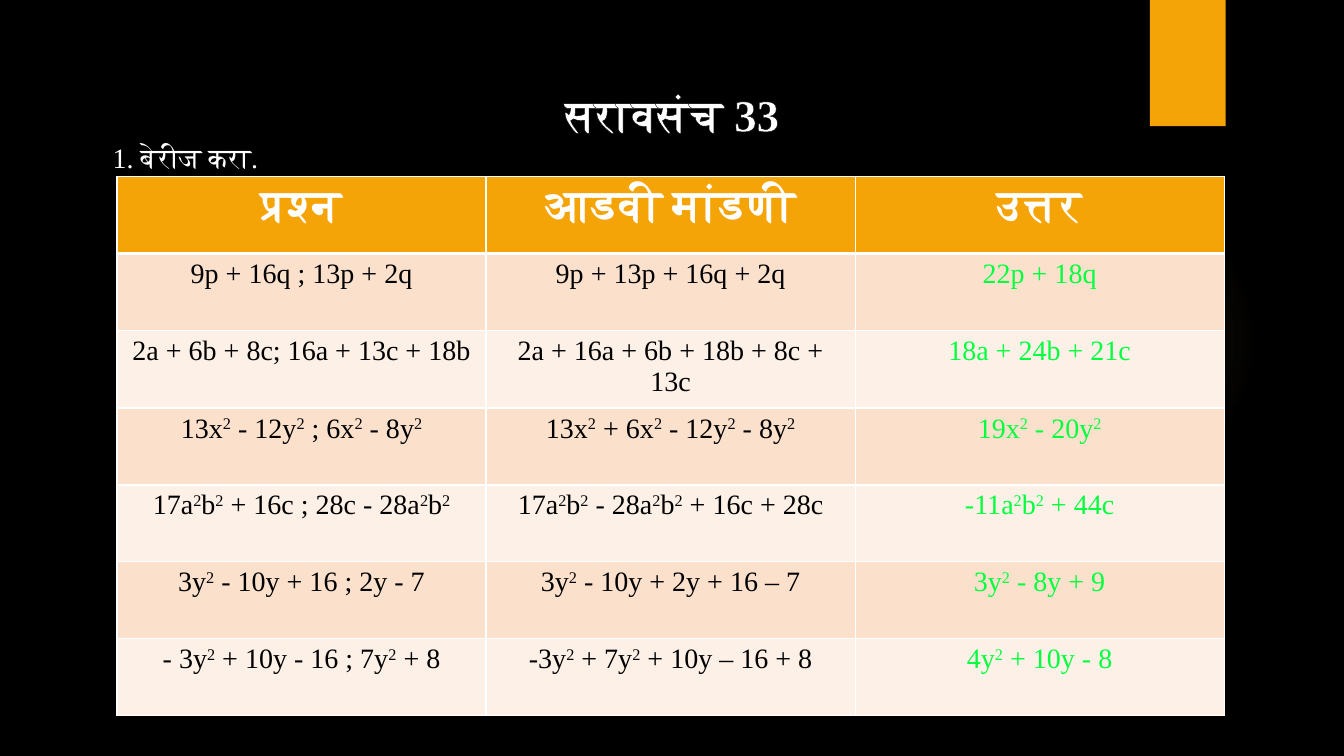
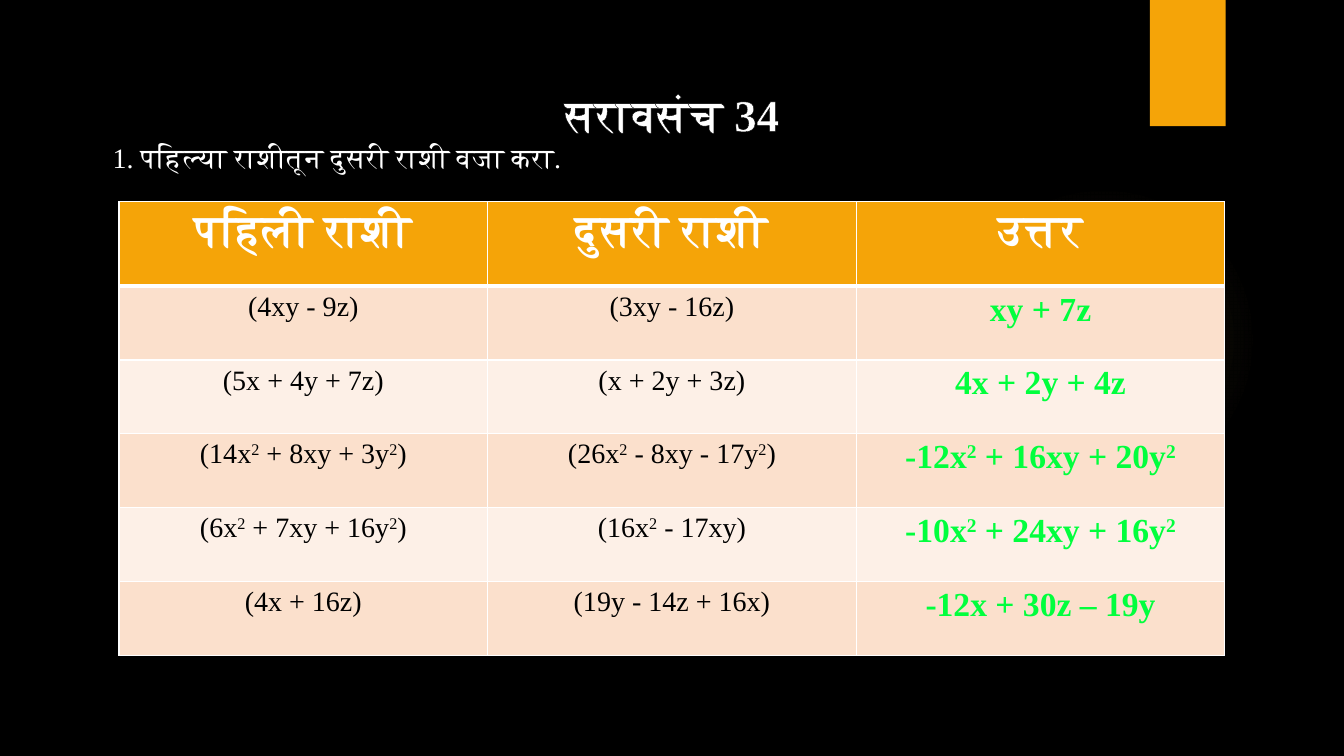
from pptx import Presentation
from pptx.dml.color import RGBColor
from pptx.enum.shapes import MSO_SHAPE
from pptx.enum.text import PP_ALIGN
from pptx.oxml import parse_xml
from pptx.oxml.ns import nsdecls, qn
from pptx.util import Cm, Pt

RECT, OVAL = MSO_SHAPE.RECTANGLE, MSO_SHAPE.OVAL
MID, LEFT = PP_ALIGN.CENTER, PP_ALIGN.LEFT
BLACK = RGBColor(0x00, 0x00, 0x00)
WHITE = RGBColor(0xFF, 0xFF, 0xFF)
AMBER = RGBColor(0xF5, 0xA4, 0x08)
GLOW = RGBColor(0xFA, 0xC9, 0x6A)
GREEN = RGBColor(0x01, 0xFF, 0x3D)
PEACH = RGBColor(0xFB, 0xE0, 0xCC)
CREAM = RGBColor(0xFD, 0xF0, 0xE7)
FONT = "Times New Roman"

HEAD = {"size": Pt(32), "bold": True, "color": WHITE}
TASK = {"size": Pt(20), "bold": False, "color": WHITE}
BODY = {"size": Pt(20), "bold": False, "color": BLACK}
SUM = {"size": Pt(20), "bold": False, "color": GREEN}
BIG = {"size": Pt(24), "bold": True, "color": GREEN}

PAGES = [
    {
        "title": "सरावसंच 33",
        "task": "1. बेरीज करा.",
        "left": 2.95, "top": 4.45, "col": 9.3, "high": 1.94, "row": 1.94,
        "result": SUM,
        "cells": [
            ("प्रश्न", "आडवी मांडणी", "उत्तर"),
            ("9p + 16q ; 13p + 2q", "9p + 13p + 16q + 2q", "22p + 18q"),
            ("2a + 6b + 8c; 16a + 13c + 18b",
             "2a + 16a + 6b + 18b + 8c + 13c", "18a + 24b + 21c"),
            ("13x² - 12y² ; 6x² - 8y²", "13x² + 6x² - 12y² - 8y²",
             "19x² - 20y²"),
            ("17a²b² + 16c ; 28c - 28a²b²", "17a²b² - 28a²b² + 16c + 28c",
             "-11a²b² + 44c"),
            ("3y² - 10y + 16 ; 2y - 7", "3y² - 10y + 2y + 16 – 7",
             "3y² - 8y + 9"),
            ("- 3y² + 10y - 16 ; 7y² + 8", "-3y² + 7y² + 10y – 16 + 8",
             "4y² + 10y - 8"),
        ],
    },
    {
        "title": "सरावसंच 34",
        "task": "1. पहिल्या राशीतून दुसरी राशी वजा करा.",
        "left": 3, "top": 5.08, "col": 9.29, "high": 2.13, "row": 1.86,
        "result": BIG,
        "cells": [
            ("पहिली राशी", "दुसरी राशी", "उत्तर"),
            ("(4xy - 9z)", "(3xy - 16z)", "xy + 7z"),
            ("(5x + 4y + 7z)", "(x + 2y + 3z)", "4x + 2y + 4z"),
            ("(14x² + 8xy + 3y²)", "(26x² - 8xy - 17y²)",
             "-12x² + 16xy + 20y²"),
            ("(6x² + 7xy + 16y²)", "(16x² - 17xy)", "-10x² + 24xy + 16y²"),
            ("(4x + 16z)", "(19y - 14z + 16x)", "-12x + 30z – 19y"),
        ],
    },
]


def make(tag, attrs="", inner=""):
    return parse_xml(f"<a:{tag} {nsdecls('a')} {attrs}>{inner}</a:{tag}>")


def paint(color, alpha=100):
    return (f'<a:srgbClr val="{color}">'
            f'<a:alpha val="{alpha * 1000}"/></a:srgbClr>')


def stroke(tag, width, color):
    return make(tag, f'w="{Pt(width)}"',
                f"<a:solidFill>{paint(color)}</a:solidFill>")


def add_run(para, text, look):
    run = para.add_run()
    run.text = text
    font = run.font
    font.name = FONT
    for key, value in look.items():
        if key == "color":
            font.color.rgb = value
        else:
            setattr(font, key, value)
    props = run._r.get_or_add_rPr()
    props.append(make("cs", f'typeface="{FONT}"'))
    return props


def write(para, text, look, align=MID):
    para.alignment = align
    for count, part in enumerate(text.split("²")):
        if count:
            add_run(para, "2", look).set("baseline", "30000")
        if part:
            add_run(para, part, look)


def add_plain(slide, kind, box, color):
    shape = slide.shapes.add_shape(kind, *map(Cm, box))
    shape.shadow.inherit = False
    shape.fill.solid()
    shape.fill.fore_color.rgb = color
    shape.line.fill.background()
    return shape.element.spPr


def add_decor(slide):
    props = add_plain(slide, OVAL, (23.9, 4.65, 7.82, 7.82), GLOW)
    stops = "".join(f'<a:gs pos="{pos * 1000}">{paint(GLOW, alpha)}</a:gs>'
                    for pos, alpha in ((0, 7), (36, 6), (69, 0)))
    focus = '<a:fillToRect l="50000" t="50000" r="50000" b="50000"/>'
    props.replace(
        props.find(qn("a:solidFill")),
        make("gradFill", "", f'<a:gsLst>{stops}</a:gsLst>'
             f'<a:path path="circle">{focus}</a:path>'))
    props = add_plain(slide, RECT, (28.98, 0, 1.91, 3.18), AMBER)
    props.find(qn("a:effectLst")).append(
        make("outerShdw",
             f'blurRad="{Pt(3)}" dist="{Pt(2)}" dir="5400000"',
             paint(BLACK, 45)))


def add_heads(slide, page):
    box = slide.shapes.add_textbox(Cm(2.59), Cm(2.06), Cm(28.7), Cm(2.5))
    frame = box.text_frame
    frame.word_wrap = True
    title = frame.paragraphs[0]
    title.space_before = Pt(5)
    write(title, page["title"], HEAD)
    title.runs[0].font._element.insert(0, stroke("ln", 0.75, BLACK))
    write(frame.add_paragraph(), page["task"], TASK, LEFT)


def style_cell(cell, fill, row):
    cell.fill.solid()
    cell.fill.fore_color.rgb = fill
    edges = {"lnL": 1, "lnR": 1, "lnT": 3 if row == 1 else 1,
             "lnB": 3 if row == 0 else 1}
    props = cell._tc.get_or_add_tcPr()
    for spot, (tag, width) in enumerate(edges.items()):
        props.insert(spot, stroke(tag, width, WHITE))


def add_grid(slide, page):
    cells = page["cells"]
    rows, cols = len(cells), len(cells[0])
    highs = [page["high"]] + [page["row"]] * (rows - 1)
    table = slide.shapes.add_table(
        rows, cols, Cm(page["left"]), Cm(page["top"]),
        Cm(page["col"] * cols), Cm(sum(highs))).table
    for col in table.columns:
        col.width = Cm(page["col"])
    for r, line in enumerate(cells):
        table.rows[r].height = Cm(highs[r])
        fill = (CREAM, PEACH)[r % 2] if r else AMBER
        looks = (BODY, BODY, page["result"]) if r else (HEAD,) * cols
        for c, (text, look) in enumerate(zip(line, looks)):
            cell = table.cell(r, c)
            style_cell(cell, fill, r)
            write(cell.text_frame.paragraphs[0], text, look)


def main():
    prs = Presentation()
    prs.slide_width, prs.slide_height = Cm(33.87), Cm(19.05)
    back = prs.slide_master.background.fill
    back.solid()
    back.fore_color.rgb = BLACK
    for page in PAGES:
        slide = prs.slides.add_slide(prs.slide_layouts[6])
        add_decor(slide)
        add_heads(slide, page)
        add_grid(slide, page)
    prs.save("out.pptx")


if __name__ == "__main__":
    main()
